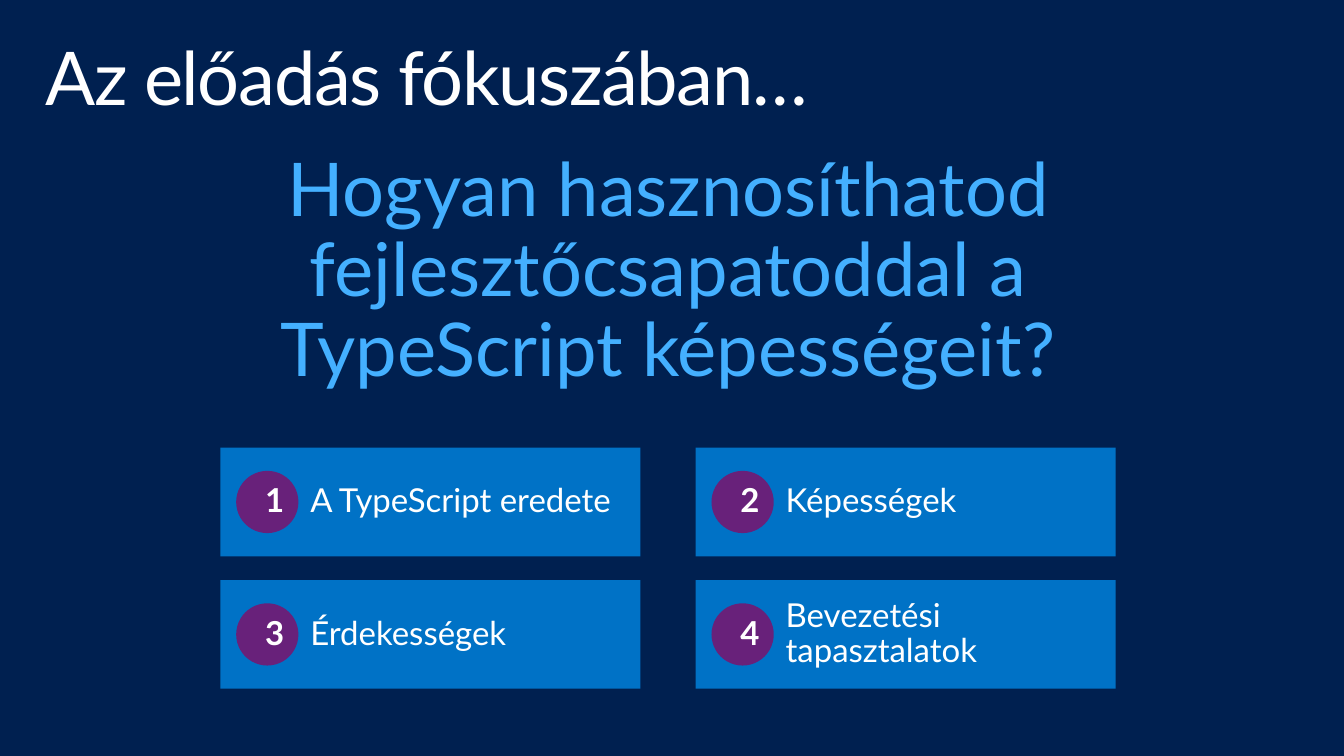
from pptx import Presentation
from pptx.dml.color import RGBColor
from pptx.enum import shapes, text
from pptx.util import Inches, Pt

NAVY = RGBColor(0x00, 0x20, 0x50)
WHITE = RGBColor(0xFF, 0xFF, 0xFF)
SKY = RGBColor(0x44, 0xB0, 0xFF)
BLUE = RGBColor(0x00, 0x72, 0xC6)
PURPLE = RGBColor(0x68, 0x21, 0x7A)

HEADING = "Az előadás fókuszában…"
QUESTION = "Hogyan hasznosíthatod fejlesztőcsapatoddal a TypeScript képességeit?"
TOPICS = [
    "A TypeScript eredete",
    "Képességek",
    "Érdekességek",
    "Bevezetési tapasztalatok",
]

COLUMNS = 2
GRID_LEFT, GRID_TOP = 2.23, 4.53
COLUMN_STEP, ROW_STEP = 4.81, 1.34
CARD_WIDTH, CARD_HEIGHT = 4.25, 1.1
BADGE_SIZE, BADGE_INSET = 0.63, 0.16

HEADING_FONT = {"size": Pt(54), "color": WHITE}
QUESTION_FONT = {"size": Pt(54), "color": SKY}
TOPIC_FONT = {"size": Pt(24), "color": WHITE}
NUMBER_FONT = {"size": Pt(24), "color": WHITE, "bold": True}

LEFT, CENTER = text.PP_ALIGN.LEFT, text.PP_ALIGN.CENTER
TOP, MIDDLE = text.MSO_ANCHOR.TOP, text.MSO_ANCHOR.MIDDLE


def write(shape, words, font_format, align, anchor, margins):
    frame = shape.text_frame
    left, top, right, bottom = map(Inches, margins)
    frame_format = {
        "word_wrap": True,
        "auto_size": text.MSO_AUTO_SIZE.NONE,
        "vertical_anchor": anchor,
        "margin_left": left,
        "margin_top": top,
        "margin_right": right,
        "margin_bottom": bottom,
    }
    for key, value in frame_format.items():
        setattr(frame, key, value)
    paragraph = frame.paragraphs[0]
    paragraph.alignment = align
    paragraph.line_spacing = 0.9
    run = paragraph.add_run()
    run.text = words
    run.font.name = "Lato"
    for key, value in font_format.items():
        if key == "color":
            run.font.color.rgb = value
        else:
            setattr(run.font, key, value)
    return run


def add_filled(group, kind, box, color):
    shape = group.shapes.add_shape(kind, *map(Inches, box))
    shape.shadow.inherit = False
    shape.fill.solid()
    shape.fill.fore_color.rgb = color
    shape.line.fill.background()
    return shape


def add_topic(slide, index, topic):
    row, column = divmod(index, COLUMNS)
    x = GRID_LEFT + column * COLUMN_STEP
    y = GRID_TOP + row * ROW_STEP
    group = slide.shapes.add_group_shape()
    card = add_filled(group, shapes.MSO_SHAPE.RECTANGLE,
                      (x, y, CARD_WIDTH, CARD_HEIGHT), BLUE)
    write(card, topic, TOPIC_FONT, LEFT, MIDDLE, (0.91, 0.16, 0.2, 0.16))
    badge_y = y + (CARD_HEIGHT - BADGE_SIZE) / 2
    badge = add_filled(group, shapes.MSO_SHAPE.OVAL,
                       (x + BADGE_INSET, badge_y, BADGE_SIZE, BADGE_SIZE), PURPLE)
    write(badge, str(index + 1), NUMBER_FONT, CENTER, MIDDLE, (0.2, 0.16, 0.2, 0.16))


def main():
    deck = Presentation()
    deck.slide_width, deck.slide_height = Inches(13.6), Inches(7.65)
    slide = deck.slides.add_slide(deck.slide_layouts[5])
    slide.background.fill.solid()
    slide.background.fill.fore_color.rgb = NAVY

    heading = slide.shapes.title
    heading.left, heading.top = Inches(0.3), Inches(0.32)
    heading.width, heading.height = Inches(13), Inches(1)
    heading_run = write(heading, HEADING, HEADING_FONT, LEFT, TOP, (0.16, 0.1, 0.16, 0.1))
    heading_run.font._element.set("spc", "-100")

    question = slide.shapes.add_textbox(*map(Inches, (2.23, 1.38, 9.06, 2.78)))
    write(question, QUESTION, QUESTION_FONT, CENTER, TOP, (0.2, 0.16, 0.2, 0.16))

    for index, topic in enumerate(TOPICS):
        add_topic(slide, index, topic)

    deck.save("out.pptx")


if __name__ == "__main__":
    main()
